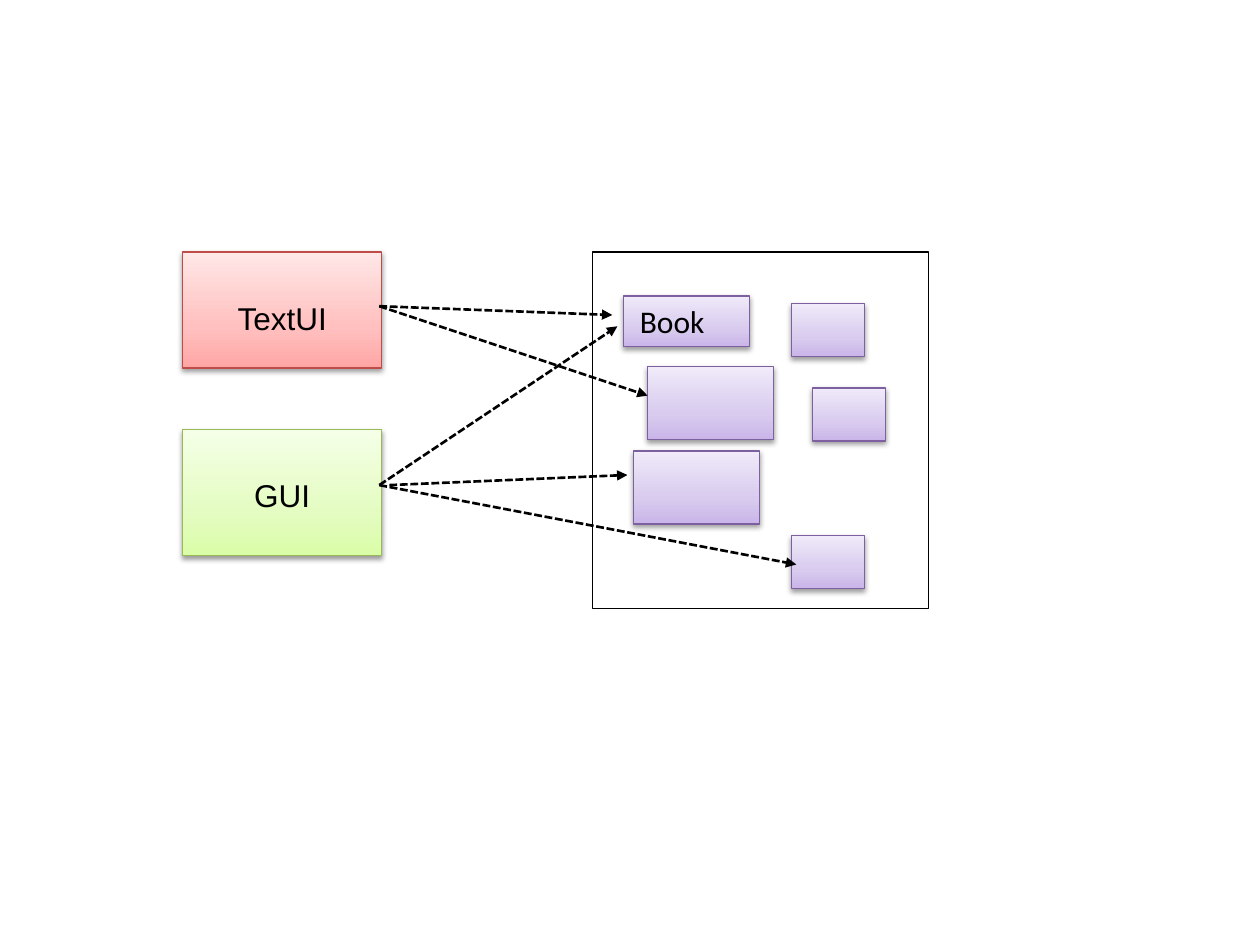
from copy import deepcopy

from lxml import etree
from pptx import Presentation
from pptx import util as u
from pptx.dml.color import RGBColor
from pptx.enum import dml, shapes, text
from pptx.oxml.ns import qn

BLACK = RGBColor(0x00, 0x00, 0x00)
RED_LINE = RGBColor(0xBF, 0x4C, 0x48)
GREEN_LINE = RGBColor(0x98, 0xB9, 0x55)
PURPLE_LINE = RGBColor(0x7D, 0x60, 0xA0)
# Gradients run from the bottom edge to the top
RED = [RGBColor(0xFF, 0xA6, 0xA5), RGBColor(0xFF, 0xC0, 0xBF), RGBColor(0xFF, 0xE7, 0xE7)]
GREEN = [RGBColor(0xDA, 0xFD, 0xA7), RGBColor(0xE4, 0xFC, 0xC2), RGBColor(0xF5, 0xFF, 0xE7)]
PURPLE = [RGBColor(0xC9, 0xB5, 0xE8), RGBColor(0xD8, 0xCB, 0xEE), RGBColor(0xF0, 0xEA, 0xF9)]
STOPS = (0, 0.35, 1)


class Diagram:
    """Holds the style and the current slide."""

    size = u.Pt(18)
    outline = u.Pt(0.75)
    arrow_width = u.Pt(1.5)

    def __init__(self, slide):
        self.slide = slide

    def frame(self, left, top, width, height, line=BLACK):
        rect = self.slide.shapes.add_shape(
            shapes.MSO_SHAPE.RECTANGLE,
            *(u.Inches(n) for n in (left, top, width, height)))
        rect.shadow.inherit = False
        rect.fill.background()
        rect.line.color.rgb = line
        rect.line.width = self.outline
        return rect

    def box(self, left, top, width, height, colors, line):
        rect = self.frame(left, top, width, height, line)
        rect.fill.gradient()
        rect.fill.gradient_angle = 90
        properties = rect._element.spPr
        stop_list = properties.find(qn("a:gradFill")).find(qn("a:gsLst"))
        stop_list.append(deepcopy(stop_list[0]))
        for stop, position, color in zip(rect.fill.gradient_stops, STOPS, colors):
            stop.position = position
            stop.color.rgb = color
        # Soft shadow below the box
        shadow = etree.SubElement(
            properties.find(qn("a:effectLst")), qn("a:outerShdw"),
            blurRad=str(u.Pt(3.1)), dist=str(u.Pt(1.6)), dir="5400000", rotWithShape="0")
        shade = etree.SubElement(shadow, qn("a:srgbClr"), val=str(BLACK))
        etree.SubElement(shade, qn("a:alpha"), val="38000")
        return rect

    def add_words(self, paragraph, words, font):
        run = paragraph.add_run()
        run.text = words
        run.font.name = font
        run.font.size = self.size
        run.font.color.rgb = BLACK

    def client(self, words, left, top, width, height, colors, line):
        frame = self.box(left, top, width, height, colors, line).text_frame
        frame.vertical_anchor = text.MSO_ANCHOR.TOP
        frame.margin_top = u.Inches(0.37)
        paragraph = frame.paragraphs[0]
        paragraph.alignment = text.PP_ALIGN.CENTER
        self.add_words(paragraph, words, "Arial")

    def label(self, words, left, top, width, height):
        frame = self.slide.shapes.add_textbox(
            *(u.Inches(n) for n in (left, top, width, height))).text_frame
        frame.word_wrap = True
        frame.auto_size = text.MSO_AUTO_SIZE.SHAPE_TO_FIT_TEXT
        self.add_words(frame.paragraphs[0], words, "Calibri")

    def arrow(self, start, end):
        arrow = self.slide.shapes.add_connector(
            shapes.MSO_CONNECTOR.STRAIGHT, *(u.Inches(n) for n in (*start, *end)))
        arrow.line.color.rgb = BLACK
        arrow.line.width = self.arrow_width
        arrow.line.dash_style = dml.MSO_LINE.SQUARE_DOT
        properties = arrow._element.spPr
        line = properties.find(qn("a:ln"))
        line.find(qn("a:prstDash")).set("val", "sysDash")
        etree.SubElement(line, qn("a:tailEnd"), type="triangle")
        etree.SubElement(properties, qn("a:effectLst"))


def main():
    deck = Presentation()
    deck.slide_width, deck.slide_height = u.Inches(10), u.Inches(7.5)
    diagram = Diagram(deck.slides.add_slide(deck.slide_layouts[6]))

    # User interfaces and the frame around the model
    diagram.client("GUI", 1.45, 3.41, 1.58, 1, GREEN, GREEN_LINE)
    diagram.frame(4.7, 2, 2.67, 2.83)
    diagram.client("TextUI", 1.45, 2, 1.58, 0.92, RED, RED_LINE)

    # Model classes: one for books, two large, three small
    diagram.box(4.95, 2.35, 1, 0.4, PURPLE, PURPLE_LINE)
    for left, top in ((5.14, 2.91), (5.03, 3.58)):
        diagram.box(left, top, 1, 0.58, PURPLE, PURPLE_LINE)
    for left, top in ((6.28, 2.41), (6.45, 3.08), (6.28, 4.25)):
        diagram.box(left, top, 0.58, 0.42, PURPLE, PURPLE_LINE)

    # Dependencies of the interfaces on the model
    text_ui, gui = (3.01, 2.43), (3.01, 3.85)
    for start, end in (
        (text_ui, (4.86, 2.5)),
        (gui, (6.32, 4.48)),
        ((3.09, 3.85), (4.98, 3.77)),
        (text_ui, (5.14, 3.14)),
        (gui, (4.9, 2.59)),
    ):
        diagram.arrow(start, end)

    diagram.label("Book", 4.98, 2.35, 1.34, 0.39)
    deck.save("out.pptx")


if __name__ == "__main__":
    main()
